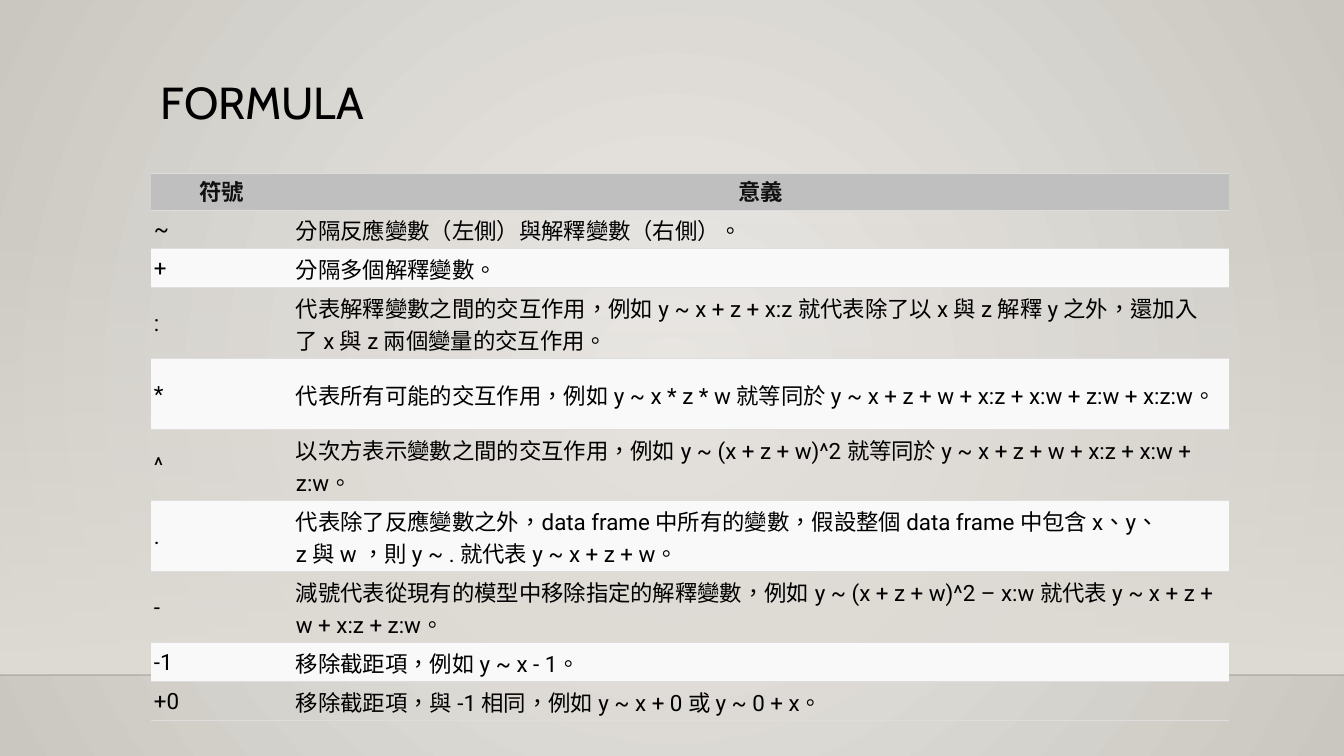
from lxml import etree
from pptx import Presentation
from pptx.dml.color import RGBColor
from pptx.enum.lang import MSO_LANGUAGE_ID
from pptx.enum.shapes import MSO_CONNECTOR, MSO_SHAPE
from pptx.enum.text import MSO_ANCHOR, PP_ALIGN
from pptx.oxml import parse_xml
from pptx.oxml.ns import nsdecls, qn
from pptx.util import Pt

TITLE = "FORMULA"
HEADER = ("符號", "意義")
# An underscore stands for a no-break space.
SYMBOLS = [
    ("~", "分隔反應變數（左側）與解釋變數（右側）。"),
    ("+", "分隔多個解釋變數。"),
    (":", "代表解釋變數之間的交互作用，例如_y ~ x + z + x:z_就代表除了以_x_與_z_解釋_y_之外，"
          "還加入了_x_與_z_兩個變量的交互作用。"),
    ("*", "代表所有可能的交互作用，例如_y ~ x * z * w_就等同於_"
          "y ~ x + z + w + x:z + x:w + z:w + x:z:w。"),
    ("^", "以次方表示變數之間的交互作用，例如_y ~ (x + z + w)^2_就等同於_"
          "y ~ x + z + w + x:z + x:w + z:w。"),
    (".", "代表除了反應變數之外，data frame 中所有的變數，假設整個 data frame 中包含_"
          "x、y、z_與_w_，則_y ~ ._就代表_y ~ x + z + w。"),
    ("-", "減號代表從現有的模型中移除指定的解釋變數，例如_y ~ (x + z + w)^2 – x:w_就代表_"
          "y ~ x + z + w + x:z + z:w。"),
    ("-1", "移除截距項，例如_y ~ x - 1。"),
    ("+0", "移除截距項，與_-1_相同，例如_y ~ x + 0_或_y ~ 0 + x。"),
]
TWO_LINE_SYMBOLS = ":*^.-"

SLIDE_W, SLIDE_H = 1344, 756
TITLE_BOX = (151, 76, 1058, 82)
TABLE_LEFT, TABLE_TOP = 151, 173
COLUMN_WIDTHS = (142, 936)
HEADER_H, ONE_LINE_H, TWO_LINE_H = 37, 39, 71
WALL_TOP, FLOOR_Y = 223, 675

BLACK = RGBColor(0x00, 0x00, 0x00)
HEADER_TEXT = RGBColor(0x11, 0x11, 0x11)
HEADER_FILL = RGBColor(0xBF, 0xBF, 0xBF)
BAND_FILL = RGBColor(0xF9, 0xF9, 0xF9)
RULE = RGBColor(0xDD, 0xDD, 0xDD)
CENTRE_GLOW = RGBColor(0xEC, 0xEA, 0xE7)
EDGE_SHADE = RGBColor(0xCA, 0xC7, 0xC1)
WALL = RGBColor(0xDF, 0xDB, 0xD5)


def px(length):
    """Turn pixels into EMU."""
    return round(length * 914400 / 100.8)


def write(frame, text, size, font, color, bold=False, align=PP_ALIGN.LEFT,
          anchor=MSO_ANCHOR.TOP, spacing=None):
    """Put one formatted paragraph into a text frame."""
    frame.word_wrap = True
    frame.vertical_anchor = anchor
    paragraph = frame.paragraphs[0]
    paragraph.alignment = align
    paragraph.line_spacing = spacing
    run = paragraph.add_run()
    run.text = text.replace("_", "\u00a0")
    run.font.size, run.font.name, run.font.bold = Pt(size), font, bold
    run.font.color.rgb = color
    run.font.language_id = MSO_LANGUAGE_ID.TRADITIONAL_CHINESE


def blend(fill, *colors):
    """Make a fill a gradient running through two colours."""
    fill.gradient()
    for position, (stop, color) in enumerate(zip(fill.gradient_stops, colors)):
        stop.position = position
        stop.color.rgb = color


def set_alpha(color_element, percent):
    """Give a colour element an opacity."""
    etree.SubElement(color_element, qn("a:alpha")).set("val", str(percent * 1000))


def add_backdrop(slide):
    """Paint the radial background, the wall fade and the floor line."""
    blend(slide.background.fill, CENTRE_GLOW, EDGE_SHADE)
    gradient = next(slide.element.iter(qn("a:gradFill")))
    gradient.replace(gradient.find(qn("a:lin")), parse_xml(
        f'<a:path {nsdecls("a")} path="circle">'
        '<a:fillToRect l="50000" t="50000" r="50000" b="50000"/></a:path>'))

    wall = slide.shapes.add_shape(MSO_SHAPE.RECTANGLE, 0, px(WALL_TOP),
                                  px(SLIDE_W), px(FLOOR_Y - WALL_TOP))
    wall.shadow.inherit = False
    wall.line.fill.background()
    blend(wall.fill, WALL, WALL)
    wall.fill.gradient_angle = 270
    set_alpha(next(wall.element.spPr.iter(qn("a:srgbClr"))), 0)

    floor = slide.shapes.add_connector(MSO_CONNECTOR.STRAIGHT, 0, px(FLOOR_Y),
                                       px(SLIDE_W), px(FLOOR_Y))
    floor.line.width = Pt(1)
    floor.line.color.rgb = BLACK
    floor_props = floor.element.spPr
    set_alpha(next(floor_props.iter(qn("a:srgbClr"))), 20)
    etree.SubElement(floor_props, qn("a:effectLst"))


def add_rules(cell):
    """Rule a cell above and below, leaving its sides open."""
    props = cell._tc.get_or_add_tcPr()
    for side in ("lnL", "lnR"):
        props.append(parse_xml(f'<a:{side} {nsdecls("a")} w="0"><a:noFill/></a:{side}>'))
    for side in ("lnT", "lnB"):
        props.append(parse_xml(
            f'<a:{side} {nsdecls("a")} w="{Pt(0.75)}"><a:solidFill>'
            f'<a:srgbClr val="{RULE}"/></a:solidFill></a:{side}>'))


def add_symbol_table(slide):
    """Build the table of formula symbols and meanings."""
    heights = [HEADER_H] + [TWO_LINE_H if symbol in TWO_LINE_SYMBOLS else ONE_LINE_H
                            for symbol, _ in SYMBOLS]
    rows = [HEADER] + SYMBOLS
    table = slide.shapes.add_table(
        len(rows), len(HEADER), px(TABLE_LEFT), px(TABLE_TOP),
        px(sum(COLUMN_WIDTHS)), px(sum(heights))).table
    table.horz_banding = False
    for column, width in zip(table.columns, COLUMN_WIDTHS):
        column.width = px(width)
    for index, (row, height, texts) in enumerate(zip(table.rows, heights, rows)):
        row.height = px(height)
        is_header = index == 0
        for cell, text in zip(row.cells, texts):
            cell.margin_left = cell.margin_right = cell.margin_bottom = px(3)
            cell.margin_top = px(1 if is_header else 3)
            cell.vertical_anchor = MSO_ANCHOR.MIDDLE
            add_rules(cell)
            if is_header or index % 2 == 0:
                cell.fill.solid()
                cell.fill.fore_color.rgb = HEADER_FILL if is_header else BAND_FILL
            else:
                cell.fill.background()
            write(cell.text_frame, text, 16, "Roboto",
                  HEADER_TEXT if is_header else BLACK, bold=is_header,
                  align=PP_ALIGN.CENTER if is_header else PP_ALIGN.LEFT,
                  anchor=MSO_ANCHOR.MIDDLE)


deck = Presentation()
deck.slide_width, deck.slide_height = px(SLIDE_W), px(SLIDE_H)
formula_slide = deck.slides.add_slide(deck.slide_layouts[6])
add_backdrop(formula_slide)
title = formula_slide.shapes.add_textbox(*map(px, TITLE_BOX))
write(title.text_frame, TITLE, 32, "Cabin", BLACK, spacing=0.9)
add_symbol_table(formula_slide)
deck.save("out.pptx")
